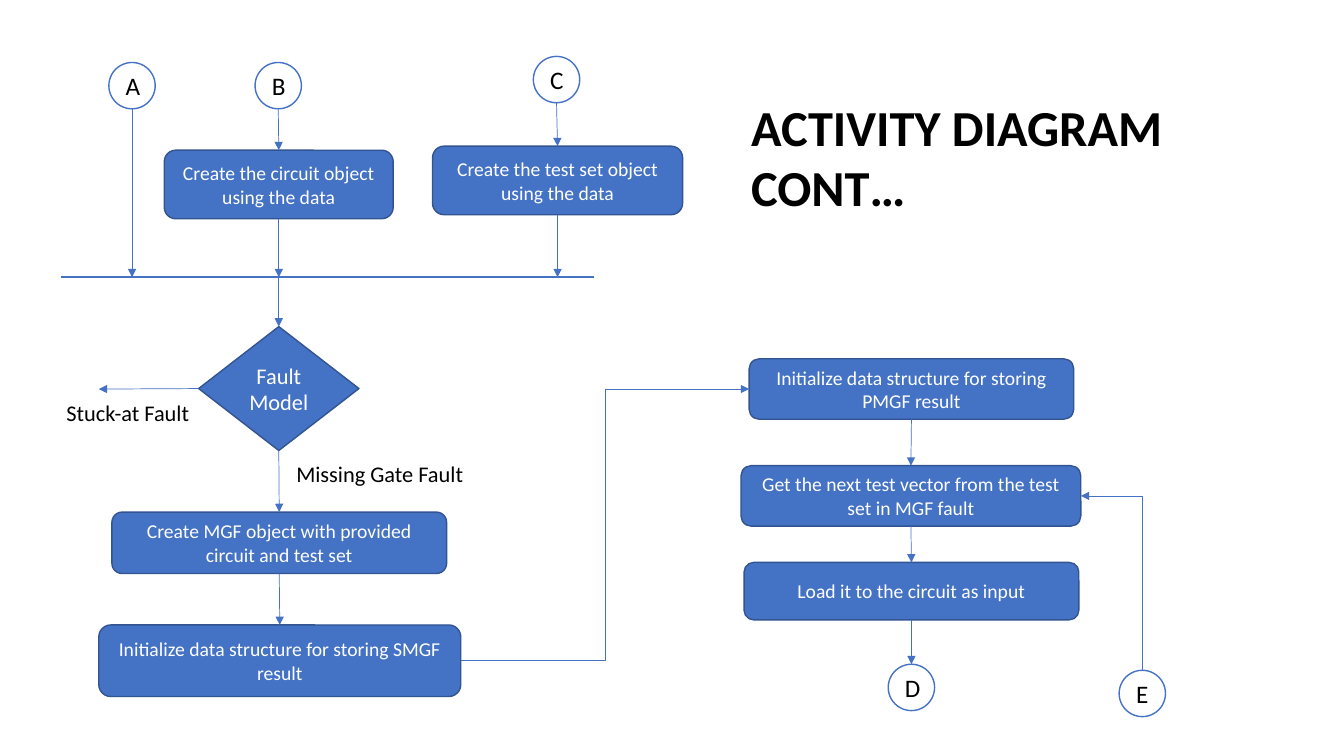
from lxml import etree
from pptx import Presentation
from pptx.dml.color import RGBColor
from pptx.enum.shapes import MSO_CONNECTOR, MSO_SHAPE
from pptx.enum.text import MSO_ANCHOR, MSO_AUTO_SIZE, PP_ALIGN
from pptx.oxml.ns import qn
from pptx.util import Inches, Pt

STRAIGHT, ELBOW = MSO_CONNECTOR.STRAIGHT, MSO_CONNECTOR.ELBOW
BLUE, DARK_BLUE, WHITE, BLACK = "4472C4", "325491", "FFFFFF", "000000"
FONT = "Calibri"
CIRCLE_SIZE = 0.46
BAR_LEFT, BAR_RIGHT, BAR_Y = 0.61, 5.89, 2.75

TITLE = ("ACTIVITY DIAGRAM CONT…", (7.35, 0.9, 5.44, 1.31))

# Letter: left, top
CIRCLES = {
    "A": (1.08, 0.62),
    "B": (2.53, 0.62),
    "C": (5.29, 0.56),
    "D": (8.81, 6.59),
    "E": (11.1, 6.65),
}

# Name: text, (left, top, width, height)
STEPS = {
    "circuit": ("Create the circuit object using the data", (1.63, 1.49, 2.27, 0.68)),
    "test set": ("Create the test set object using the data", (4.29, 1.45, 2.48, 0.68)),
    "mgf": ("Create MGF object with provided circuit and test set", (1.11, 5.08, 3.32, 0.61)),
    "smgf": ("Initialize data structure for storing SMGF result", (0.98, 6.2, 3.59, 0.71)),
    "pmgf": ("Initialize data structure for storing PMGF result", (7.43, 3.56, 3.22, 0.6)),
    "next vector": ("Get the next test vector from the test set in MGF fault",
                    (7.35, 4.62, 3.37, 0.6)),
    "load": ("Load it to the circuit as input", (7.38, 5.58, 3.32, 0.57)),
}
DECISION = ("Fault Model", (1.97, 3.24, 1.59, 1.23))

LABELS = [
    ("Missing Gate Fault", (2.84, 4.52, 1.98, 0.37)),
    ("Stuck-at Fault", (0.56, 3.91, 1.49, 0.37)),
]

DOWN_ARROWS = [
    ("B", "circuit"), ("C", "test set"), ("fault model", "mgf"), ("mgf", "smgf"),
    ("pmgf", "next vector"), ("next vector", "load"), ("load", "D"),
]
ARROWS_TO_BAR = ["A", "circuit", "test set"]
STUCK_AT_END = (0.98, 3.86)


def color(hex_text):
    return RGBColor.from_string(hex_text)


def format_text(text_frame, text, size, font_color, alignment, bold=False):
    text_frame.text = text
    text_frame.word_wrap = True
    paragraph = text_frame.paragraphs[0]
    paragraph.alignment = alignment
    font = paragraph.runs[0].font
    font.name, font.size, font.bold = FONT, Pt(size), bold
    font.color.rgb = color(font_color)


def add_node(slide, preset, text, box, size, fill=BLUE, line=DARK_BLUE, font_color=WHITE):
    shape = slide.shapes.add_shape(preset, *map(Inches, box))
    shape.shadow.inherit = False
    shape.fill.solid()
    shape.fill.fore_color.rgb = color(fill)
    shape.line.color.rgb = color(line)
    shape.line.width = Pt(1)
    shape.text_frame.vertical_anchor = MSO_ANCHOR.MIDDLE
    format_text(shape.text_frame, text, size, font_color, PP_ALIGN.CENTER)
    return shape


def add_line(slide, start, end, kind=STRAIGHT, width=0.5, arrow=True):
    connector = slide.shapes.add_connector(kind, *map(Inches, (*start, *end)))
    connector.line.color.rgb = color(BLUE)
    connector.line.width = Pt(width)
    if arrow:
        etree.SubElement(connector.line._get_or_add_ln(), qn("a:tailEnd"), type="triangle")
    etree.SubElement(connector._element.spPr, qn("a:effectLst"))
    return connector


def add_corner_arrow(slide, start, end):
    """Go straight up from start, then turn left once to end."""
    rise, run = start[1] - end[1], start[0] - end[0]
    middle_x, middle_y = (start[0] + end[0]) / 2, (start[1] + end[1]) / 2
    # The one-bend preset runs sideways first, so it is laid flat and turned by 270 degrees.
    connector = add_line(
        slide,
        (middle_x - rise / 2, middle_y + run / 2),
        (middle_x + rise / 2, middle_y - run / 2),
        ELBOW,
    )
    properties = connector._element.spPr
    properties.find(qn("a:xfrm")).set("rot", str(270 * 60000))
    properties.find(qn("a:prstGeom")).set("prst", "bentConnector2")


def side(box, name):
    left, top, width, height = box
    return {
        "top": (left + width / 2, top),
        "bottom": (left + width / 2, top + height),
        "left": (left, top + height / 2),
        "right": (left + width, top + height / 2),
    }[name]


def main():
    presentation = Presentation()
    presentation.slide_width, presentation.slide_height = Inches(13.33), Inches(7.5)
    slide = presentation.slides.add_slide(presentation.slide_layouts[5])

    title = slide.shapes.title
    text, box = TITLE
    title.left, title.top, title.width, title.height = map(Inches, box)
    title.text_frame.auto_size = MSO_AUTO_SIZE.NONE
    title.text_frame.vertical_anchor = MSO_ANCHOR.TOP
    format_text(title.text_frame, text, 36, BLACK, PP_ALIGN.LEFT, bold=True)

    boxes = {"fault model": DECISION[1]}
    for letter, (left, top) in CIRCLES.items():
        boxes[letter] = (left, top, CIRCLE_SIZE, CIRCLE_SIZE)
        add_node(slide, MSO_SHAPE.OVAL, letter, boxes[letter], 18, WHITE, BLUE, BLACK)
    for name, (text, box) in STEPS.items():
        boxes[name] = box
        add_node(slide, MSO_SHAPE.ROUNDED_RECTANGLE, text, box, 14)
    add_node(slide, MSO_SHAPE.DIAMOND, *DECISION, 16)

    for text, box in LABELS:
        label = slide.shapes.add_textbox(*map(Inches, box))
        format_text(label.text_frame, text, 16, BLACK, PP_ALIGN.LEFT)

    add_line(slide, (BAR_LEFT, BAR_Y), (BAR_RIGHT, BAR_Y), width=1.5, arrow=False)
    for name in ARROWS_TO_BAR:
        start = side(boxes[name], "bottom")
        add_line(slide, start, (start[0], BAR_Y))
    decision_top = side(boxes["fault model"], "top")
    add_line(slide, (decision_top[0], BAR_Y), decision_top)
    for source, target in DOWN_ARROWS:
        add_line(slide, side(boxes[source], "bottom"), side(boxes[target], "top"))
    add_line(slide, side(boxes["fault model"], "left"), STUCK_AT_END)
    add_line(slide, side(boxes["smgf"], "right"), side(boxes["pmgf"], "left"), ELBOW)
    add_corner_arrow(slide, side(boxes["E"], "top"), side(boxes["next vector"], "right"))

    presentation.save("out.pptx")


if __name__ == "__main__":
    main()
